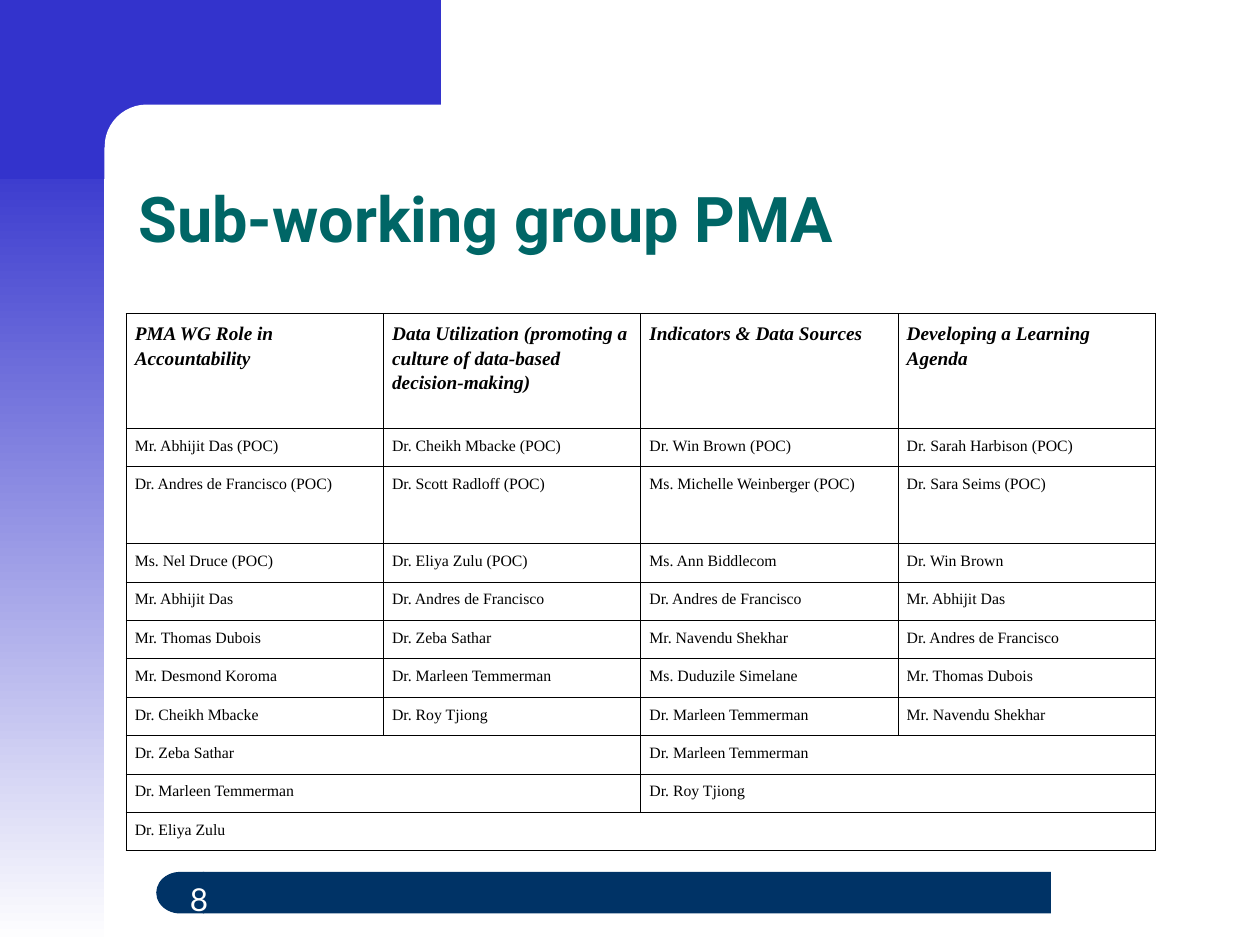
from lxml import etree
from pptx import Presentation
from pptx import util as u
from pptx.dml.color import RGBColor
from pptx.enum import shapes, text
from pptx.oxml import ns

Inches, Pt = u.Inches, u.Pt
MSO = shapes.MSO_SHAPE


def rgb(value):
    return RGBColor.from_string(value)


def add_block(parent, kind, box, color):
    sp = parent.add_shape(kind, *[Inches(v) for v in box])
    sp.shadow.inherit = False
    sp.fill.solid()
    sp.fill.fore_color.rgb = rgb(color)
    sp.line.fill.background()
    return sp


prs = Presentation()
prs.slide_width, prs.slide_height = Inches(10), Inches(7.5)
s = prs.slides.add_slide(prs.slide_layouts[5])

side = add_block(s.shapes, MSO.RECTANGLE, (0, 1.08, 0.83, 6.42), "3333CC")
side.fill.gradient()
side.fill.gradient_angle = 270
for stop, (pos, color) in zip(side.fill.gradient_stops, [(0, "3333CC"), (1, "FFFFFF")]):
    stop.position = pos
    stop.color.rgb = rgb(color)

footer = s.shapes.add_group_shape().shapes
bar = add_block(footer, MSO.ROUNDED_RECTANGLE, (1.61, 6.92, 6.73, 0.33), "003366")
bar.adjustments[0] = 0
cap = add_block(footer, MSO.FLOWCHART_DELAY, (1.24, 6.92, 0.38, 0.33), "003366")
cap._element.spPr.find(ns.qn("a:xfrm")).set("flipH", "1")

add_block(s.shapes, MSO.RECTANGLE, (0.75, 0, 2.75, 1.17), "3333CC")
panel = add_block(s.shapes, MSO.ROUNDED_RECTANGLE, (0.83, 0.83, 5.58, 0.67), "FFFFFF")
panel.adjustments[0] = 0.5
add_block(s.shapes, MSO.RECTANGLE, (0, 0, 0.83, 1.42), "3333CC")

title = s.shapes.title
s.shapes._spTree.append(title._element)
title.left, title.top, title.width, title.height = [Inches(v) for v in (1, 0.83, 8.75, 1.25)]
tf = title.text_frame
tf.auto_size = text.MSO_AUTO_SIZE.NONE
tf.vertical_anchor = text.MSO_ANCHOR.BOTTOM
p = tf.paragraphs[0]
p.alignment = text.PP_ALIGN.LEFT
p.line_spacing = 0.9
r = p.add_run()
r.text = "Sub-working group PMA"
r.font.name, r.font.size, r.font.bold = "Roboto", Pt(36), True
r.font.color.rgb = rgb("006666")

number = s.shapes.add_textbox(Inches(1.17), Inches(6.89), Inches(0.82), Inches(0.44))
tf = number.text_frame
tf.word_wrap = True
tf.vertical_anchor = text.MSO_ANCHOR.BOTTOM
p = tf.paragraphs[0]
p.alignment = text.PP_ALIGN.CENTER
r = p.add_run()
r.text = "8"
r.font.name, r.font.size = "Lato", Pt(18)
r.font.color.rgb = rgb("FFFFFF")

rows = [
    ["PMA WG Role in Accountability",
     "Data Utilization (promoting a culture of data-based decision-making)",
     "Indicators & Data Sources", "Developing a Learning Agenda"],
    ["Mr. Abhijit Das (POC)", "Dr. Cheikh Mbacke (POC)",
     "Dr. Win Brown (POC)", "Dr. Sarah Harbison (POC)"],
    ["Dr. Andres de Francisco (POC)", "Dr. Scott Radloff (POC)",
     "Ms. Michelle Weinberger (POC)", "Dr. Sara Seims (POC)"],
    ["Ms. Nel Druce (POC)", "Dr. Eliya Zulu (POC)", "Ms. Ann Biddlecom", "Dr. Win Brown"],
    ["Mr. Abhijit Das", "Dr. Andres de Francisco", "Dr. Andres de Francisco", "Mr. Abhijit Das"],
    ["Mr. Thomas Dubois", "Dr. Zeba Sathar", "Mr. Navendu Shekhar", "Dr. Andres de Francisco"],
    ["Mr. Desmond Koroma", "Dr. Marleen Temmerman", "Ms. Duduzile Simelane", "Mr. Thomas Dubois"],
    ["Dr. Cheikh Mbacke", "Dr. Roy Tjiong", "Dr. Marleen Temmerman", "Mr. Navendu Shekhar"],
    ["Dr. Zeba Sathar", "Dr. Marleen Temmerman"],
    ["Dr. Marleen Temmerman", "Dr. Roy Tjiong"],
    ["Dr. Eliya Zulu"],
]
heights = {0: 0.91, 2: 0.61}
cols = 4
table = s.shapes.add_table(len(rows), cols, Inches(1), Inches(2.49), Inches(8.17), Inches(4.26)).table
table.first_row = table.horz_banding = False
for i, names in enumerate(rows):
    table.rows[i].height = Inches(heights.get(i, 0.305))
    for j in range(cols):
        cell = table.cell(i, j)
        tcPr = cell._tc.get_or_add_tcPr()
        for edge in ("a:lnL", "a:lnR", "a:lnT", "a:lnB"):
            ln = etree.SubElement(tcPr, ns.qn(edge), w=str(Pt(0.45)))
            fill = etree.SubElement(ln, ns.qn("a:solidFill"))
            etree.SubElement(fill, ns.qn("a:srgbClr"), val="000000")
        cell.fill.background()
    span = cols // len(names)
    for j, name in enumerate(names):
        cell = table.cell(i, j * span)
        if span > 1:
            cell.merge(table.cell(i, j * span + span - 1))
        cell.margin_left = cell.margin_right = Inches(0.07)
        cell.margin_top = cell.margin_bottom = Inches(0.05)
        p = cell.text_frame.paragraphs[0]
        p.line_spacing = 1.15
        r = p.add_run()
        r.text = name
        r.font.name, r.font.size = "Times New Roman", Pt(11 if i == 0 else 9)
        r.font.bold = r.font.italic = i == 0
        r.font.color.rgb = rgb("000000")

prs.save("out.pptx")
